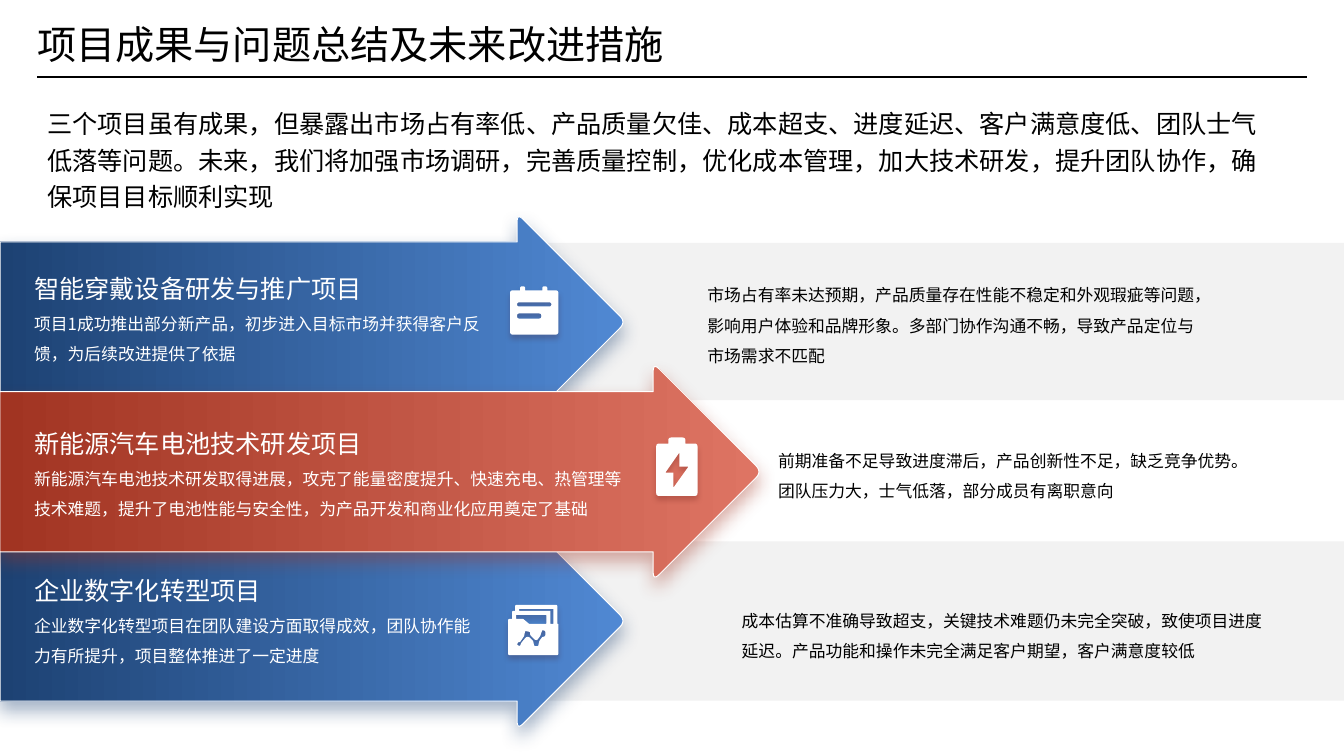
"""Builds a slide of three project arrows with their results and open problems."""
from math import hypot

from lxml import etree
from pptx import Presentation
from pptx.dml.color import RGBColor
from pptx.enum.shapes import MSO_CONNECTOR, MSO_SHAPE
from pptx.enum.text import MSO_AUTO_SIZE
from pptx.oxml.ns import qn
from pptx.util import Inches, Pt

RECTANGLE = MSO_SHAPE.RECTANGLE
STRAIGHT = MSO_CONNECTOR.STRAIGHT
GROW = MSO_AUTO_SIZE.SHAPE_TO_FIT_TEXT

TITLE = "项目成果与问题总结及未来改进措施"
SUMMARY = ("三个项目虽有成果，但暴露出市场占有率低、产品质量欠佳、成本超支、进度延迟、客户满意度低、"
           "团队士气低落等问题。未来，我们将加强市场调研，完善质量控制，优化成本管理，加大技术研发，"
           "提升团队协作，确保项目目标顺利实现")


def box(left, top, right, bottom, radius):
    """Return the corners of a rounded rectangle."""
    return [(left, top, radius), (right, top, radius),
            (right, bottom, radius), (left, bottom, radius)]


def bent(radius, *corners):
    """Return corners that share one rounding radius."""
    return [(x, y, radius) for x, y in corners]


CALENDAR = [
    [(0, 4, 3), (10, 4, 0), (10, 0, 2.5), (15, 0, 2.5), (15, 4, 0), (32, 4, 0),
     (32, 0, 2.5), (37, 0, 2.5), (37, 4, 0), (48, 4, 3), (48, 48, 3), (0, 48, 3)],
    box(7, 16, 41, 20, 2),
    box(7, 27, 31, 32, 2),
]
BATTERY = [
    [(0, 6, 3), (12, 6, 0), (12, 0, 3), (29, 0, 3), (29, 6, 0),
     (41, 6, 3), (41, 58, 3), (0, 58, 3)],
    bent(0, (23, 29), (23, 15), (9, 35), (17, 35), (17, 50), (32, 29)),
]
REPORTS = [
    [(0, 14, 2), (4, 14, 0), (4, 6, 2), (7, 6, 0), (7, 0, 2), (49, 0, 2),
     (49, 19, 0), (50, 19, 1), (50, 50, 2), (0, 50, 2)],
    bent(0.5, (8, 10), (38, 10), (38, 19), (21, 19), (15, 14), (8, 14)),
    bent(0, (11, 4), (45, 4), (45, 19), (42, 19), (42, 6), (11, 6)),
    bent(1, (37, 31), (35, 32), (34, 32), (31, 36), (30, 41), (26, 41), (25, 36),
         (21, 32), (18, 32), (13, 38), (12, 41), (9, 40), (10, 37), (12, 37),
         (16, 31), (17, 26), (22, 27), (22, 30), (27, 35), (29, 35), (32, 31),
         (34, 25), (37, 26)),
]

PROJECTS = [
    {"name": "智能穿戴设备研发与推广项目",
     "result": "项目1成功推出部分新产品，初步进入目标市场并获得客户反馈，为后续改进提供了依据",
     "problem": "市场占有率未达预期，产品质量存在性能不稳定和外观瑕疵等问题，影响用户体验和品牌形象。"
                "多部门协作沟通不畅，导致产品定位与市场需求不匹配",
     "tone": "blue", "shoulder": 51.3, "middle": 31.95, "band": (24.1, 15.6),
     "result_at": (2.4, 25.1, 46.5, 11.8), "problem_at": (69.2, 26.8, 50.6, 10.9),
     "icon": CALENDAR, "icon_at": (50.6, 28.4)},
    {"name": "新能源汽车电池技术研发项目",
     "result": "新能源汽车电池技术研发取得进展，攻克了能量密度提升、快速充电、热管理等技术难题，"
               "提升了电池性能与安全性，为产品开发和商业化应用奠定了基础",
     "problem": "前期准备不足导致进度滞后，产品创新性不足，缺乏竞争优势。团队压力大，士气低落，"
                "部分成员有离职意向",
     "tone": "red", "shoulder": 64.8, "middle": 46.8, "band": None,
     "result_at": (2.4, 40.5, 61.1, 11.8), "problem_at": (76.2, 43.2, 48.5, 8),
     "icon": BATTERY, "icon_at": (65.1, 43.4)},
    {"name": "企业数字化转型项目",
     "result": "企业数字化转型项目在团队建设方面取得成效，团队协作能力有所提升，项目整体推进了一定进度",
     "problem": "成本估算不准确导致超支，关键技术难题仍未完全突破，致使项目进度延迟。"
                "产品功能和操作未完全满足客户期望，客户满意度较低",
     "tone": "blue", "shoulder": 51.3, "middle": 61.6, "band": (53.7, 15.8),
     "result_at": (2.4, 55.1, 46.5, 11.8), "problem_at": (72.6, 59.1, 53.9, 8),
     "icon": REPORTS, "icon_at": (50.4, 60)},
]

THEME = {
    "font": "Noto Sans CJK SC",
    "ink": "000000", "paper": "FFFFFF", "band": "F2F2F2", "icon_shadow": "420003",
    "blue": ("5088D3", "1D4273"), "red": ("DE7463", "A13422"),
    "title": 28, "heading": 18, "body": 12,
}
CELL = Inches(0.1)
COLUMNS, ROWS = 133.33, 75
BAND_LEFT = 0.5
HALF_BODY, HEAD_REACH, HEAD_ROUND = 7.95, 10.8, 0.85
ICON_CELL = 0.1
CURVE_STEPS = 6
FLUSH = {"margin_left": 0, "margin_top": 0, "margin_right": 0, "margin_bottom": 0,
         "word_wrap": False, "auto_size": GROW}

deck = Presentation()
deck.slide_width, deck.slide_height = int(COLUMNS * CELL), ROWS * CELL
slide = deck.slides.add_slide(deck.slide_layouts[6])


def cells(*lengths):
    return [round(length * CELL) for length in lengths]


def color(name):
    return RGBColor.from_string(THEME.get(name, name))


def toward(corner, other, radius):
    """Return the point where the rounding of a corner meets an edge."""
    dx, dy = other[0] - corner[0], other[1] - corner[1]
    length = hypot(dx, dy)
    share = min(radius, length / 2) / length
    return corner[0] + dx * share, corner[1] + dy * share


def rounded(corners):
    """Return the points of a closed outline with rounded corners."""
    points = []
    for index, (x, y, radius) in enumerate(corners):
        if not radius:
            points.append((x, y))
            continue
        start = toward((x, y), corners[index - 1], radius)
        end = toward((x, y), corners[(index + 1) % len(corners)], radius)
        for step in range(CURVE_STEPS + 1):
            t = step / CURVE_STEPS
            points.append(tuple((1 - t) ** 2 * a + 2 * t * (1 - t) * b + t * t * c
                                for a, b, c in zip(start, (x, y), end)))
    return points


def add_outline(contours, shadow, left=0, top=0, scale=1):
    """Draw closed contours as one shape with a soft shadow beneath it."""
    builder = None
    for contour in contours:
        points = [cells(left + x * scale, top + y * scale) for x, y in rounded(contour)]
        if builder is None:
            builder = slide.shapes.build_freeform(*points[0])
        else:
            builder.move_to(*points[0])
        builder.add_line_segments(points[1:], close=True)
    shape = builder.convert_to_shape()
    shape.shadow.inherit = False
    tint, alpha, blur, distance = shadow
    effects = shape._element.spPr.find(qn("a:effectLst"))
    outer = etree.SubElement(effects, qn("a:outerShdw"), blurRad=str(Pt(blur)),
                             dist=str(Pt(distance)), dir="5400000", rotWithShape="0")
    rgb = etree.SubElement(outer, qn("a:srgbClr"), val=tint)
    etree.SubElement(rgb, qn("a:alpha"), val=str(alpha * 1000))
    return shape


def add_text(at, lines, ink, spacing=None, **frame_format):
    frame = slide.shapes.add_textbox(*cells(*at)).text_frame
    for key, value in {"word_wrap": True, **frame_format}.items():
        setattr(frame, key, value)
    for index, (words, size) in enumerate(lines):
        paragraph = frame.add_paragraph() if index else frame.paragraphs[0]
        paragraph.line_spacing = spacing
        run = paragraph.add_run()
        run.text = words
        for key, value in {"name": THEME["font"], "size": Pt(THEME[size])}.items():
            setattr(run.font, key, value)
        run.font.color.rgb = color(ink)
        etree.SubElement(run.font._element, qn("a:ea"), typeface=THEME["font"])


def add_band(top, height):
    band = slide.shapes.add_shape(RECTANGLE, *cells(BAND_LEFT, top, COLUMNS - BAND_LEFT, height))
    band.shadow.inherit = False
    band.fill.solid()
    band.fill.fore_color.rgb = color("band")
    band.line.fill.background()


def add_arrow(shoulder, middle, tone):
    upper = [(0, middle - HALF_BODY, 0), (shoulder, middle - HALF_BODY, 0),
             (shoulder, middle - HEAD_REACH, HEAD_ROUND)]
    lower = [(x, 2 * middle - y, radius) for x, y, radius in reversed(upper)]
    tip = (shoulder + HEAD_REACH, middle, HEAD_ROUND)
    arrow = add_outline([upper + [tip] + lower], (THEME[tone][1], 40, 13, 6))
    arrow.fill.gradient()
    arrow.fill.gradient_angle = 180
    for stop, shade in zip(arrow.fill.gradient_stops, THEME[tone]):
        stop.color.rgb = color(shade)
    arrow.line.color.rgb = color("paper")
    arrow.line.width = Pt(0.75)


for project in sorted(PROJECTS, key=lambda item: item["band"] is None):
    if project["band"]:
        add_band(*project["band"])
    add_arrow(project["shoulder"], project["middle"], project["tone"])

for project in PROJECTS:
    add_text(project["result_at"], [(project["name"], "heading"), (project["result"], "body")],
             "paper", 1.5)
    add_text(project["problem_at"], [(project["problem"], "body")], "ink", 1.5)
    icon = add_outline(project["icon"], (THEME["icon_shadow"], 20, 4, 3),
                       *project["icon_at"], ICON_CELL)
    icon.fill.solid()
    icon.fill.fore_color.rgb = color("paper")
    icon.line.fill.background()

rule = slide.shapes.add_connector(STRAIGHT, *cells(3.7, 7.6, 129.7, 7.6))
rule.line.color.rgb = color("ink")
rule.line.width = Pt(1.5)
etree.SubElement(rule._element.spPr, qn("a:effectLst"))
add_text((3.7, 2, 62.8, 4.7), [(TITLE, "title")], "ink", **FLUSH)
add_text((3.7, 9.7, 124.2, 11.7), [(SUMMARY, "heading")], "ink", 1.2, auto_size=GROW)

deck.save("out.pptx")
